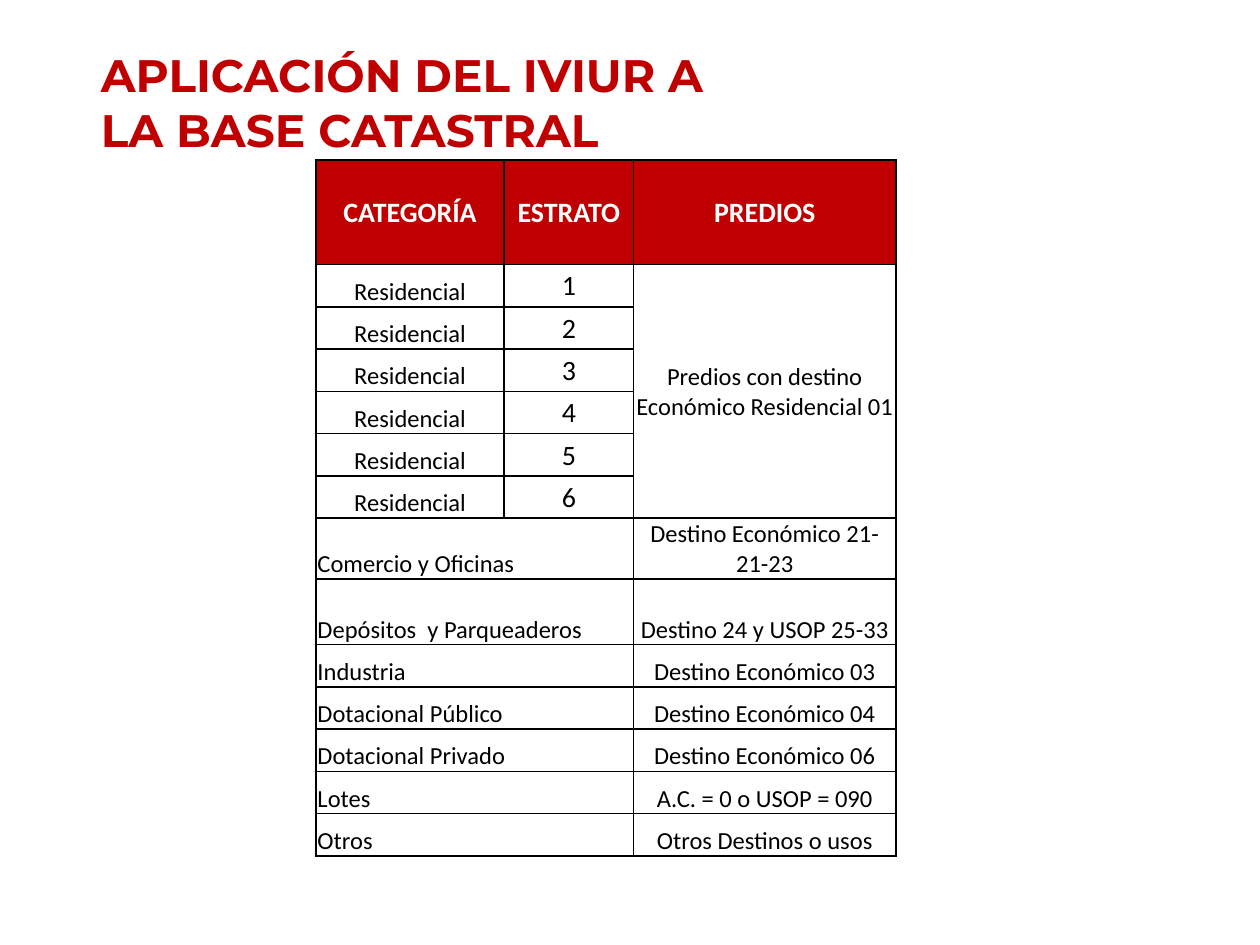
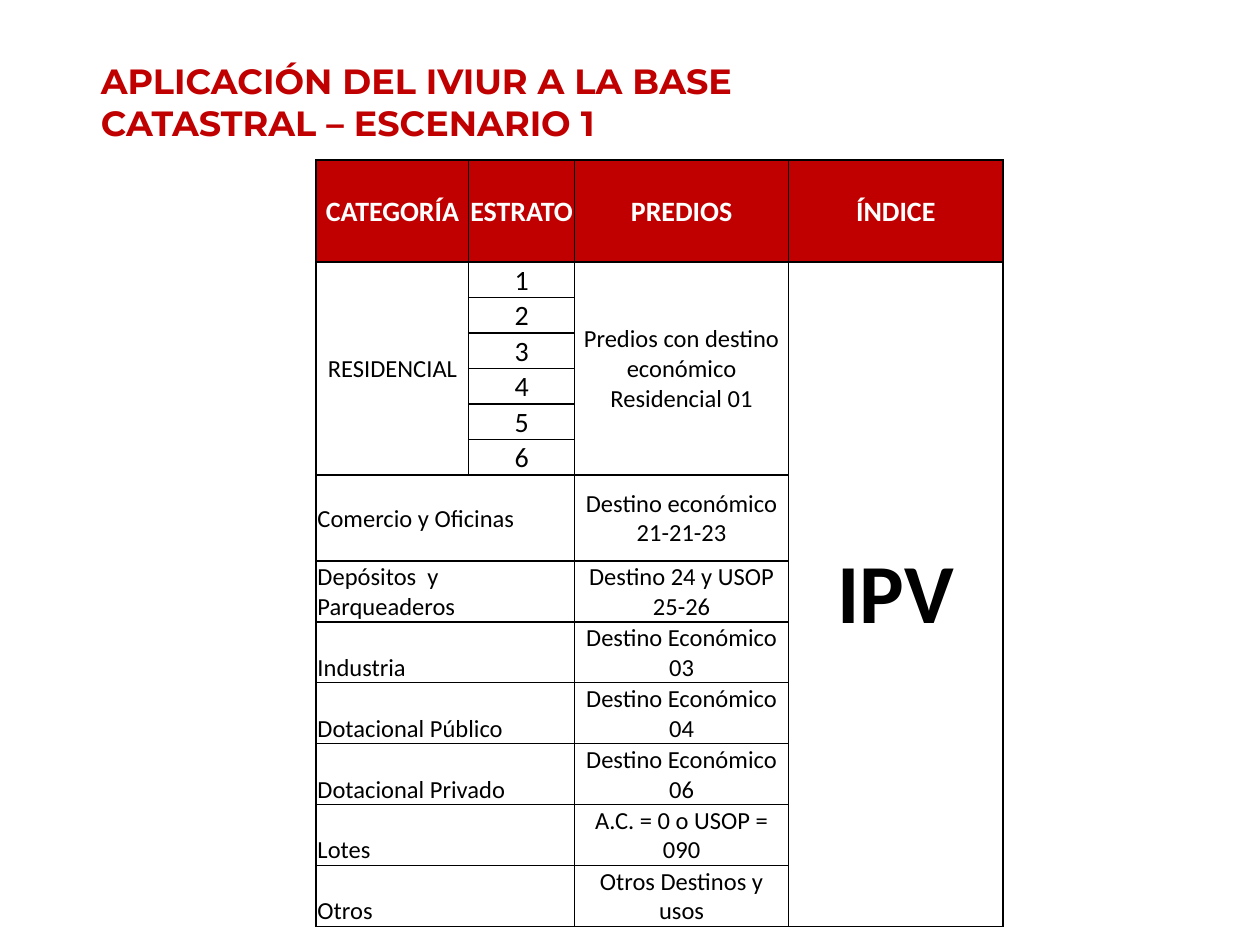
import dataclasses

import lxml.etree
import pptx
import pptx.dml.color
import pptx.enum.text
import pptx.oxml.ns
import pptx.util

Inches = pptx.util.Inches
Pt = pptx.util.Pt
Align = pptx.enum.text.PP_ALIGN
Anchor = pptx.enum.text.MSO_ANCHOR


@dataclasses.dataclass(frozen=True)
class Theme:
    red: str = "C00000"
    black: str = "000000"
    white: str = "FFFFFF"
    head_font: str = "Montserrat"
    body_font: str = "Calibri"
    body: int = 14
    large: int = 16
    huge: int = 48
    line: int = 1


class Deck:
    def __init__(self, theme):
        self.theme = theme
        self.prs = pptx.Presentation()
        self.prs.slide_width = Inches(10)
        self.prs.slide_height = Inches(7.5)
        self.slide = None

    def page(self):
        layout = self.prs.slide_layouts.get_by_name("Title Only")
        self.slide = self.prs.slides.add_slide(layout)

    def style(self, par, font, size, color, bold, align):
        par.alignment = align
        par.font.name = font
        par.font.size = Pt(size)
        par.font.bold = bold
        par.font.color.rgb = pptx.dml.color.RGBColor.from_string(color)

    def title(self, text, size, top, height):
        box = self.slide.shapes.title
        box.left, box.top = Inches(0.7), Inches(top)
        box.width, box.height = Inches(5.45), Inches(height)
        frame = box.text_frame
        frame.text = text
        frame.word_wrap = True
        frame.auto_size = pptx.enum.text.MSO_AUTO_SIZE.NONE
        frame.vertical_anchor = Anchor.MIDDLE
        self.style(frame.paragraphs[0], self.theme.head_font, size,
                   self.theme.red, True, Align.LEFT)

    def border(self, cell):
        qn = pptx.oxml.ns.qn
        props = cell._tc.get_or_add_tcPr()
        for spot, side in enumerate(("lnL", "lnR", "lnT", "lnB")):
            line = lxml.etree.Element(qn("a:" + side), w=str(Pt(self.theme.line)))
            fill = lxml.etree.SubElement(line, qn("a:solidFill"))
            lxml.etree.SubElement(fill, qn("a:srgbClr"), val=self.theme.black)
            props.insert(spot, line)

    def cell(self, cell, text, size, align, anchor, head):
        look = self.theme
        cell.margin_left = cell.margin_right = cell.margin_top = Inches(0.01)
        cell.margin_bottom = 0
        cell.vertical_anchor = anchor
        if head:
            cell.fill.solid()
            cell.fill.fore_color.rgb = pptx.dml.color.RGBColor.from_string(look.red)
        else:
            cell.fill.background()
        self.border(cell)
        cell.text = text
        self.style(cell.text_frame.paragraphs[0], look.body_font, size,
                   look.white if head else look.black,
                   head or size == look.huge, align)

    def table(self, grid, cols, rows, spans, low):
        """Spans maps (row, column) to (height, width); text sits low from row low on."""
        look = self.theme
        table = self.slide.shapes.add_table(
            len(rows), len(cols), Inches(2.51), Inches(1.27),
            Inches(sum(cols)), Inches(sum(rows))).table
        for col, width in zip(table.columns, cols):
            col.width = Inches(width)
        for row, height in zip(table.rows, rows):
            row.height = Inches(height)
        for r, line in enumerate(grid):
            for c, text in enumerate(line):
                tall, wide = spans.get((r, c), (1, 1))
                head = r == 0
                digit = text.isdigit()
                size = look.large if head or digit else look.body
                if text == "IPV":
                    size = look.huge
                align = Align.LEFT if wide > 1 else Align.CENTER
                sink = r >= low and tall == 1 and not digit
                self.cell(table.cell(r, c), text, size, align,
                          Anchor.BOTTOM if sink else Anchor.MIDDLE, head)
        for (r, c), (tall, wide) in spans.items():
            table.cell(r, c).merge(table.cell(r + tall - 1, c + wide - 1))


HEADS = ["CATEGORÍA", "ESTRATO", "PREDIOS"]
USES = ["Comercio y Oficinas", "Depósitos  y Parqueaderos", "Industria",
        "Dotacional Público", "Dotacional Privado", "Lotes", "Otros"]
LOTS = ["Destino Económico 03", "Destino Económico 04",
        "Destino Económico 06", "A.C. = 0 o USOP = 090"]
STRATA = 6
WIDE = {(STRATA + 1 + n, 0): (1, 2) for n in range(len(USES))}


def fill(homes, home_lot, lots):
    """Rows for the six strata, then one for each other use."""
    strata = [[home, str(n), home_lot if n == 1 else ""]
              for n, home in enumerate(homes, 1)]
    return strata + [[use, "", lot] for use, lot in zip(USES, lots)]


def base(deck):
    deck.page()
    deck.title("APLICACIÓN DEL IVIUR A LA BASE CATASTRAL", 26, 0.32, 0.98)
    lots = ["Destino Económico 21-21-23", "Destino 24 y USOP 25-33",
            *LOTS, "Otros Destinos o usos"]
    body = fill(["Residencial"] * STRATA,
                "Predios con destino Económico Residencial 01", lots)
    step = 3.69 / 11
    rows = [0.83] + [step] * STRATA + [0.48, 0.52] + [step] * 5
    deck.table([HEADS] + body, [1.49, 1.03, 2.08], rows,
               {(1, 2): (STRATA, 1), **WIDE}, low=1)


def scene(deck):
    deck.page()
    deck.title("APLICACIÓN DEL IVIUR A LA BASE CATASTRAL – ESCENARIO 1",
               20, 0.42, 0.77)
    lots = ["Destino económico 21-21-23", "Destino 24 y USOP 25-26",
            *LOTS, "Otros Destinos y usos"]
    body = fill(["RESIDENCIAL"] + [""] * (STRATA - 1),
                "Predios con destino económico Residencial 01", lots)
    marks = ["ÍNDICE", "IPV"] + [""] * (len(body) - 1)
    grid = [line + [mark] for line, mark in zip([HEADS] + body, marks)]
    rows = [0.81] + [0.27] * STRATA + [0.68] + [0.47] * 6
    deck.table(grid, [1.21, 0.84, 1.7, 1.7], rows,
               {(1, 0): (STRATA, 1), (1, 2): (STRATA, 1),
                (1, 3): (len(body), 1), **WIDE}, low=9)


def main():
    deck = Deck(Theme())
    base(deck)
    scene(deck)
    deck.prs.save("out.pptx")


if __name__ == "__main__":
    main()
